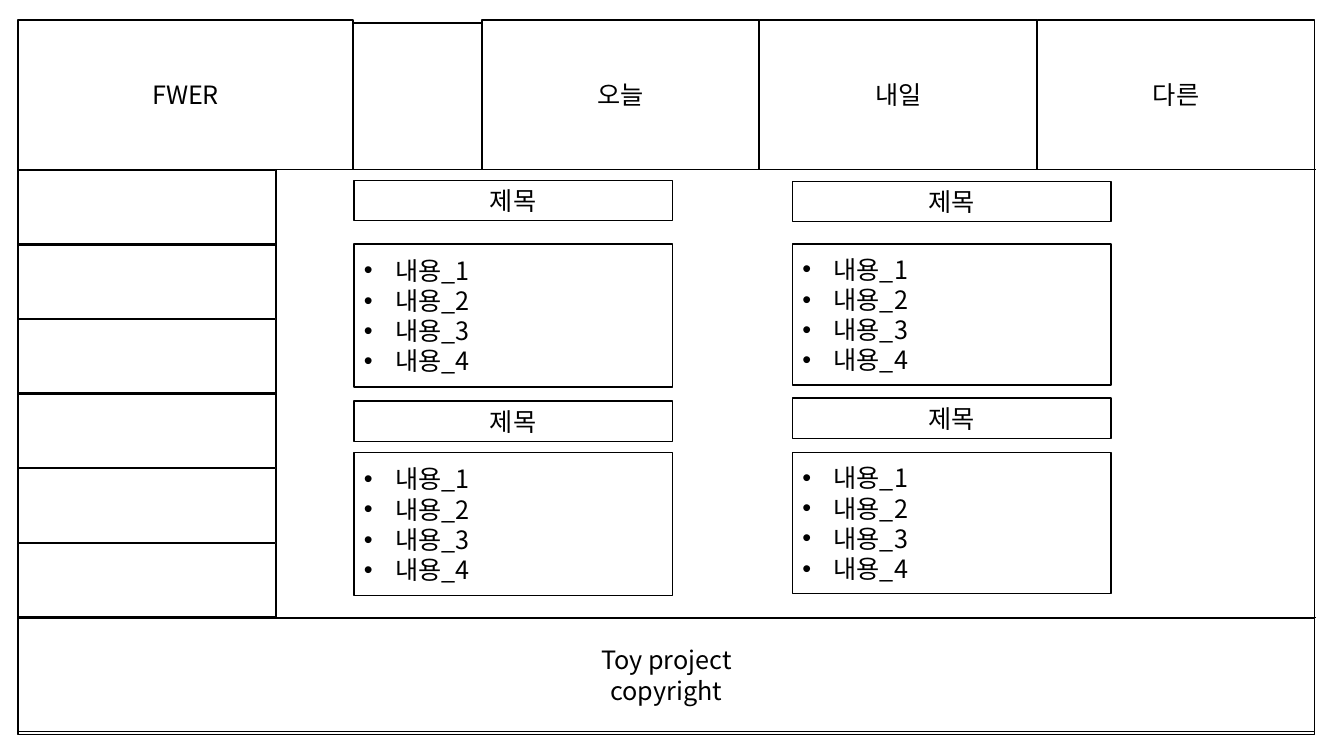
from dataclasses import dataclass
from lxml.etree import SubElement
from pptx import Presentation
from pptx.dml.color import RGBColor
from pptx.enum.shapes import MSO_CONNECTOR, MSO_SHAPE
from pptx.enum.text import MSO_ANCHOR, PP_ALIGN
from pptx.oxml.ns import qn
from pptx.util import Inches, Pt


@dataclass
class Theme:
    ink: RGBColor = RGBColor(0, 0, 0)
    paper: RGBColor = RGBColor(255, 255, 255)
    font: str = "Noto Sans CJK KR"
    size: int = 18
    edge: float = 1
    rule: float = 0.5
    indent: float = 0.31


def apply(target, values):
    for name, value in values.items():
        setattr(target, name, value)


class Page:
    def __init__(self, slide, theme):
        self.shapes = slide.shapes
        self.theme = theme

    def stroke(self, line, width):
        line.color.rgb = self.theme.ink
        line.width = Pt(width)

    def box(self, left, top, width, height, text=None):
        shape = self.shapes.add_shape(
            MSO_SHAPE.RECTANGLE, *map(Inches, (left, top, width, height)))
        shape.shadow.inherit = False
        shape.fill.solid()
        shape.fill.fore_color.rgb = self.theme.paper
        self.stroke(shape.line, self.theme.edge)
        if text:
            self.label(shape.text_frame.paragraphs[0], text, PP_ALIGN.CENTER)
        return shape

    def label(self, para, text, align):
        apply(para, {"text": text, "alignment": align})
        for run in para.runs:
            apply(run.font, {"name": self.theme.font, "size": Pt(self.theme.size)})
            run.font.color.rgb = self.theme.ink
            SubElement(run.font._element, qn("a:ea"), typeface=self.theme.font)

    def bullets(self, left, top, width, height, items):
        frame = self.box(left, top, width, height).text_frame
        apply(frame, {"word_wrap": True, "vertical_anchor": MSO_ANCHOR.MIDDLE})
        indent = Inches(self.theme.indent)
        for index, item in enumerate(items):
            para = frame.add_paragraph() if index else frame.paragraphs[0]
            self.label(para, item, PP_ALIGN.LEFT)
            props = para._p.get_or_add_pPr()
            props.set("marL", str(indent))
            props.set("indent", str(-indent))
            SubElement(props, qn("a:buFont"), typeface="Arial")
            SubElement(props, qn("a:buChar"), char="•")

    def rule(self, *ends):
        line = self.shapes.add_connector(
            MSO_CONNECTOR.STRAIGHT, *map(Inches, ends))
        self.stroke(line.line, self.theme.rule)
        SubElement(line._element.spPr, qn("a:effectLst"))


deck = Presentation()
apply(deck, {"slide_width": Inches(13.33), "slide_height": Inches(7.5)})
page = Page(deck.slides.add_slide(deck.slide_layouts[6]), Theme())

left, right, wide = 0.18, 13.05, 12.86
head, foot, side = 1.68, 6.12, 2.74

page.box(left, 0.23, wide, 7.06)
page.rule(left, head, right, head)
page.box(left, 0.2, 3.32, 1.48, "FWER")
for index, day in enumerate(("오늘", "내일", "다른")):
    page.box(4.78 + index * 2.755, 0.2, 2.75, 1.48, day)

page.rule(side, head, side, foot)
page.rule(left, foot, right, foot)
page.box(left, 6.13, wide, 1.13, "Toy project\vcopyright")
for row in range(6):
    page.box(left, 1.69 + row * 0.74, 2.55, 0.73)

items = [f"내용_{number}" for number in range(1, 5)]
columns = ((3.51, 1.42, (1.79, 3.98)), (7.86, 1.4, (1.8, 3.95)))
for start, height, titles in columns:
    for title, body in zip(titles, (2.42, 4.49)):
        page.box(start, title, 3.16, 0.4, "제목")
        page.bullets(start, body, 3.16, height, items)

deck.save("out.pptx")
